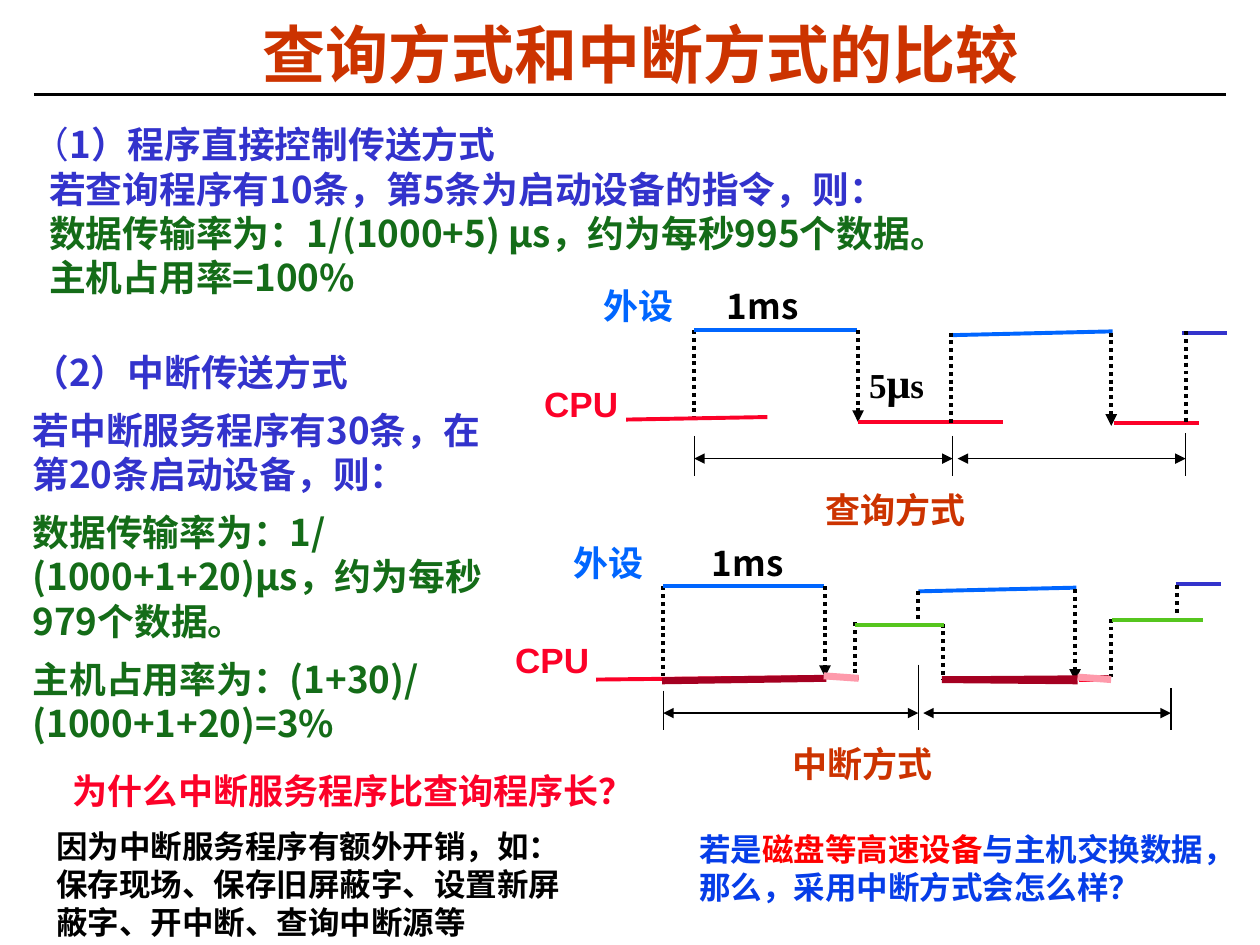
from dataclasses import dataclass

from lxml.etree import SubElement
from pptx import Presentation
from pptx.dml.color import RGBColor as RGB
from pptx.enum.dml import MSO_LINE
from pptx.enum.shapes import MSO_CONNECTOR as CONN, MSO_SHAPE as SHAPE
from pptx.enum.text import PP_ALIGN as ALIGN
from pptx.oxml.ns import qn
from pptx.util import Inches, Pt

BLACK, WHITE = RGB(0, 0, 0), RGB(255, 255, 255)
ORANGE, VIOLET = RGB(0xCC, 0x33, 0x00), RGB(0x33, 0x33, 0xCC)
DARK_GREEN, GREEN = RGB(0x14, 0x6C, 0x18), RGB(0x56, 0xC6, 0x1E)
CRIMSON, RED = RGB(0xFC, 0x01, 0x28), RGB(0xFF, 0, 0)
SKY, BLUE = RGB(0, 0x66, 0xFF), RGB(0x06, 0x3D, 0xE8)
MAROON, PINK = RGB(0xA5, 0, 0x21), RGB(0xFE, 0x9A, 0xAB)
CJK, ARIAL, TIMES = "Noto Sans CJK SC", "Arial", "Times New Roman"


@dataclass
class Grid:
    """A box in inches, divided into columns and rows."""
    left: float
    top: float
    width: float
    height: float
    cols: float
    rows: float

    def x(self, col):
        """Slide position of a column."""
        return Inches(self.left + self.width * col / self.cols)

    def y(self, row):
        """Slide position of a row."""
        return Inches(self.top + self.height * row / self.rows)

    def cell(self, col, row, w, h):
        """Left, top, width and height of a span of cells."""
        x, y = self.x(col), self.y(row)
        return x, y, self.x(col + w) - x, self.y(row + h) - y


def style(font, size, name, color, bold=True):
    """Set the look of a paragraph or run font."""
    font.size, font.bold = Pt(size), bold
    font.color.rgb = color
    font.name = name
    SubElement(font._element, qn("a:ea"), typeface=CJK)


def text_box(s, cell, insets=(0.1, 0.05), fill=None):
    """Add a wrapping text frame, on a filled rectangle if asked."""
    if fill is None:
        sp = s.shapes.add_textbox(*cell)
    else:
        sp = s.shapes.add_shape(SHAPE.RECTANGLE, *cell)
        sp.shadow.inherit = False
        sp.fill.solid()
        sp.fill.fore_color.rgb = fill
        sp.line.fill.background()
    tf = sp.text_frame
    tf.word_wrap = True
    tf.margin_left = tf.margin_right = Inches(insets[0])
    tf.margin_top = tf.margin_bottom = Inches(insets[1])
    return tf


def paragraph(tf, size, first=True, leading=1.2, align=ALIGN.LEFT):
    """Start a paragraph with a fixed line pitch."""
    p = tf.paragraphs[0] if first else tf.add_paragraph()
    p.alignment, p.line_spacing = align, Pt(round(size * leading, 1))
    return p


def label(s, cell, text, size, name, color, **box):
    """Add a box with one paragraph in one font."""
    p = paragraph(text_box(s, cell, **box), size)
    p.add_run().text = text
    style(p.font, size, name, color)


def rich_label(s, cell, runs):
    """Add a box with one paragraph of differing runs."""
    p = paragraph(text_box(s, cell), runs[0][1])
    for text, *look in runs:
        r = p.add_run()
        r.text = text
        style(r.font, *look)


def line(s, g, x1, y1, x2, y2, color=BLACK, width=2.25, dots=False, ends=()):
    """Draw a straight line between two grid points."""
    c = s.shapes.add_connector(CONN.STRAIGHT, g.x(x1), g.y(y1), g.x(x2), g.y(y2))
    c.line.color.rgb, c.line.width = color, Pt(width)
    if dots:
        c.line.dash_style = MSO_LINE.ROUND_DOT
    for end in ends:
        SubElement(c.line._get_or_add_ln(), qn(f"a:{end}"), type="triangle")
    SubElement(c._element.spPr, qn("a:effectLst"))


def header(s, g):
    """Place the title and its rule."""
    line(s, g, 2.7, 7.5, 97.3, 7.5, width=1.5)
    tf = text_box(s, g.cell(4.4, 1.4, 92.9, 5.8), (0.07, 0.03))
    p = paragraph(tf, 36, leading=1.1, align=ALIGN.CENTER)
    p.add_run().text = "查询方式和中断方式的比较"
    style(p.font, 36, CJK, ORANGE)


def polling_notes(s, g):
    """Write the program-control calculation."""
    tf = text_box(s, g.cell(0, 0, 1, 1), (0.07, 0.03))
    p = paragraph(tf, 21)
    for text, bold in (("（", False), ("1）程序直接控制传送方式", True)):
        r = p.add_run()
        r.text = text
        style(r.font, 21, CJK, VIOLET, bold)
    for text, color in (
            ("若查询程序有10条，第5条为启动设备的指令，则：", VIOLET),
            ("数据传输率为：1/(1000+5) μs，约为每秒995个数据。", DARK_GREEN),
            ("主机占用率=100%", DARK_GREEN)):
        p = paragraph(tf, 21, first=False)
        p._p.get_or_add_pPr().set("marL", str(Inches(0.13)))
        p.add_run().text = text
        style(p.font, 21, CJK, color)


def interrupt_notes(s, g):
    """Write the interrupt calculation."""
    tf = text_box(s, g.cell(0, 0, 1, 1))
    for i, (text, color) in enumerate((
            ("（2）中断传送方式", VIOLET),
            ("若中断服务程序有30条，在第20条启动设备，则：", VIOLET),
            ("数据传输率为：1/(1000+1+20)μs，约为每秒979个数据。", DARK_GREEN),
            ("主机占用率为：(1+30)/(1000+1+20)=3%", DARK_GREEN))):
        p = paragraph(tf, 21, first=not i)
        if i:
            p.space_before = Pt(7.9)
        p.add_run().text = text
        style(p.font, 21, CJK, color)


def timing_frame(s, g, caption, third, last, middle):
    """Draw the labels, device pulses and period marks of a timing chart."""
    label(s, g.cell(4.7, 0, 11.9, 4.4), "外设", 20, TIMES, SKY)
    label(s, g.cell(0, 7.8, 13, 4.4), "CPU", 20, ARIAL, CRIMSON)
    label(s, g.cell(third[2], 0, 11, 4.4), "1ms", 20, CJK, BLACK)
    label(s, g.cell(22.3, 16.2, 14, 4.4), caption, 20, CJK, ORANGE)
    line(s, g, 12.9, 4.1, 12.9, 11.3, dots=True)
    line(s, g, 12.9, 4.1, 25.8, 4.1, SKY)
    line(s, g, 33.4, 4.5, 46.1, 4.2, SKY)
    line(s, g, third[0], third[1], third[0] + 3.6, third[1], VIOLET)
    for x, top, bottom in ((25.9, 4.1, 11.4), (46, 4.3, 11.7)):
        line(s, g, x, top, x, bottom, dots=True, ends=("tailEnd",))
    for x, top in ((12.9, 12.5), (33.4, middle), (last, 12.3)):
        line(s, g, x, top, x, 15.7, width=0.75)
    for x1, x2 in ((12.9, 33.4), (33.8, last)):
        line(s, g, x1, 14.3, x2, 14.3, width=0.75, ends=("headEnd", "tailEnd"))


def polling_chart(s, g):
    """Draw the polling timing chart."""
    timing_frame(s, g, "查询方式", (51.6, 4.3, 14.5), 51.9, 12.5)
    for x1, y1, x2, y2 in ((7.5, 11.2, 18.7, 11), (25.9, 11.4, 37.4, 11.4),
                           (46.2, 11.5, 53, 11.5)):
        line(s, g, x1, y1, x2, y2, CRIMSON)
    for x, top, bottom in ((33.3, 4.3, 11.6), (51.9, 4.2, 11.4)):
        line(s, g, x, top, x, bottom, dots=True)
    rich_label(s, g.cell(25.8, 6.4, 11, 5), (
        ("5", 20, TIMES, BLACK), ("μ", 24, TIMES, BLACK), ("s", 20, TIMES, BLACK)))


def interrupt_chart(s, g):
    """Draw the interrupt timing chart."""
    timing_frame(s, g, "中断方式", (54.1, 3.9, 15.8), 53.7, 10.4)
    for x, top, bottom in ((28.3, 7, 11.6), (48.9, 6.7, 11.5), (33.4, 4.5, 7),
                           (35.4, 7.1, 11.6), (54.2, 4, 6.5)):
        line(s, g, x, top, x, bottom, dots=True)
    for x1, y1, x2, y2, color, width in (
            (7.5, 11.6, 26, 11.4, CRIMSON, 2.25),
            (25.9, 11.4, 28.6, 11.5, CRIMSON, 2.25),
            (46.3, 11.6, 48.9, 11.6, CRIMSON, 2.25),
            (28.3, 7.2, 35.5, 7.2, GREEN, 2.25),
            (49, 6.8, 56.3, 6.8, GREEN, 2.25),
            (35.4, 11.5, 48.7, 11.4, MAROON, 2.25),
            (12.8, 11.7, 26, 11.5, MAROON, 4),
            (35.3, 11.6, 46.2, 11.7, MAROON, 4),
            (25.8, 11.3, 28.6, 11.5, PINK, 4),
            (46.2, 11.4, 48.9, 11.6, PINK, 4)):
        line(s, g, x1, y1, x2, y2, color, width)


def questions(s, g):
    """Place the closing questions and the answer."""
    label(s, g.cell(4.8, 60.6, 47.9, 4.4), "为什么中断服务程序比查询程序长？",
          20, ARIAL, CRIMSON)
    label(s, g.cell(3.5, 65.3, 42.6, 9.7),
          "因为中断服务程序有额外开销，如：保存现场、保存旧屏蔽字、设置新屏蔽字、开中断、查询中断源等",
          18, ARIAL, BLACK, fill=WHITE)
    rich_label(s, g.cell(54.5, 65.4, 42.3, 7), (
        ("若是", 18, ARIAL, BLUE), ("磁盘等高速设备", 18, ARIAL, RED),
        ("与主机交换数据，那么，采用中断方式会怎么样？", 18, ARIAL, BLUE)))


def main():
    """Build the slide."""
    prs = Presentation()
    prs.slide_width, prs.slide_height = Inches(10), Inches(7.5)
    s = prs.slides.add_slide(prs.slide_layouts[6])
    page = Grid(0, 0, 10, 7.5, 100, 75)
    header(s, page)
    polling_notes(s, Grid(0.19, 0.94, 8.56, 1.85, 1, 1))
    interrupt_notes(s, Grid(0.16, 2.73, 4.01, 3.23, 1, 1))
    polling_chart(s, Grid(4.22, 2.21, 5.6, 2.1, 56, 21))
    questions(s, page)
    interrupt_chart(s, Grid(3.99, 4.25, 5.53, 2.07, 56, 21))
    prs.save("out.pptx")


if __name__ == "__main__":
    main()
